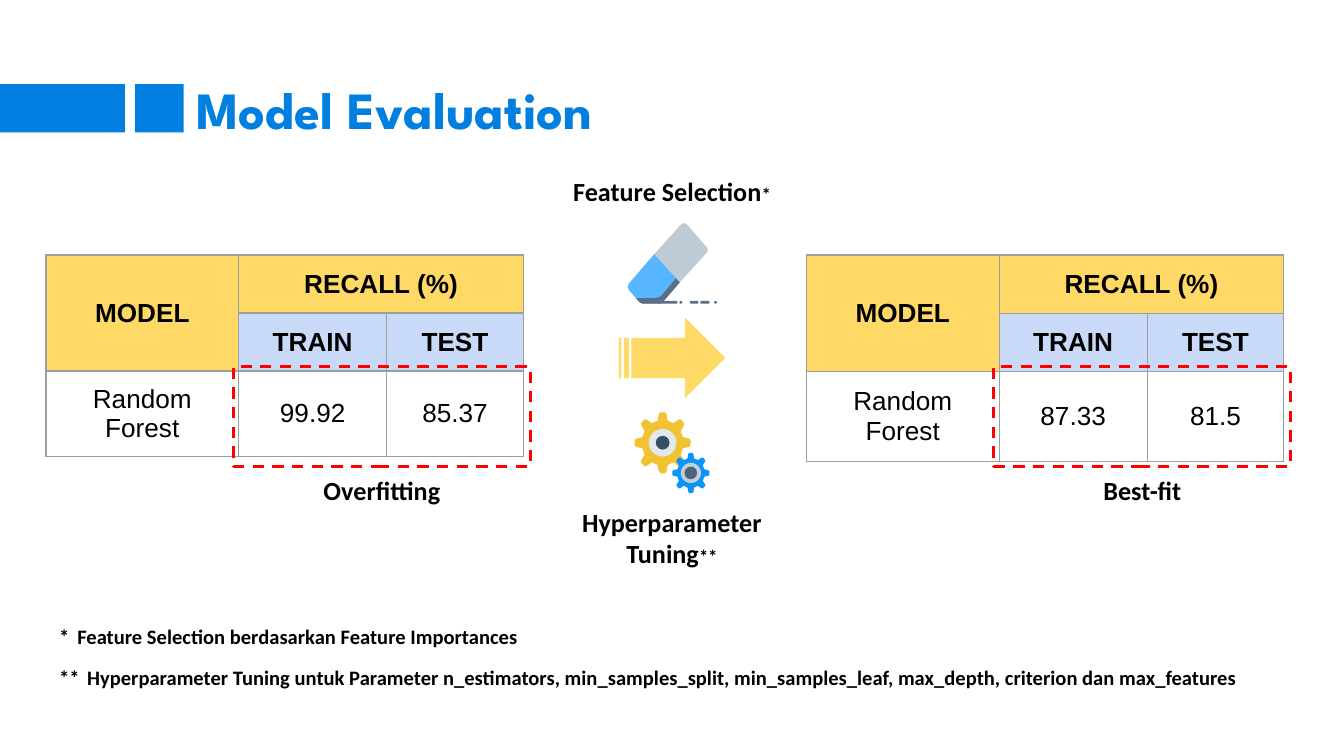
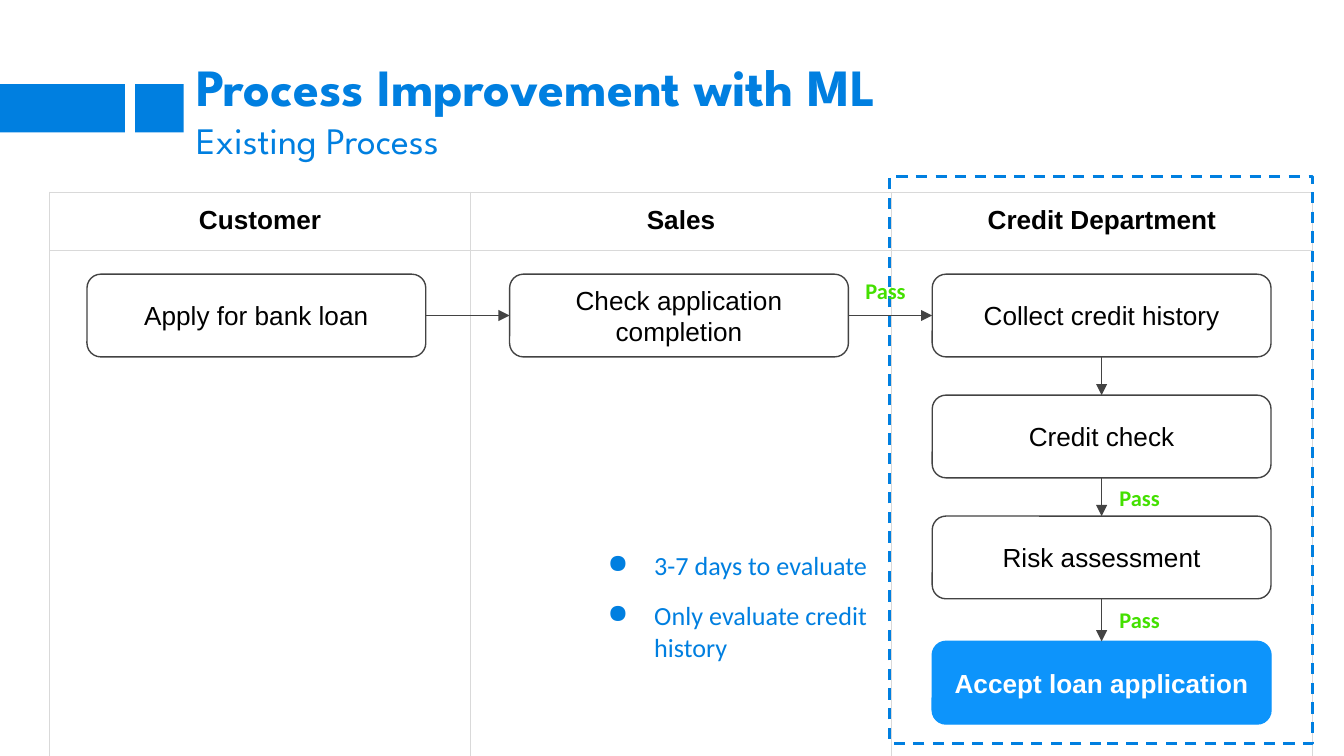
from dataclasses import dataclass
from math import cos, radians, sin

from lxml import etree
from pptx import Presentation
from pptx.dml.color import RGBColor
from pptx.enum.dml import MSO_LINE
from pptx.enum.shapes import MSO_CONNECTOR, MSO_SHAPE
from pptx.enum.text import MSO_ANCHOR, MSO_AUTO_SIZE, PP_ALIGN
from pptx.oxml.ns import qn
from pptx.util import Pt

LEFT, CENTER = PP_ALIGN.LEFT, PP_ALIGN.CENTER
TOP, MIDDLE = MSO_ANCHOR.TOP, MSO_ANCHOR.MIDDLE
RECTANGLE, ROUNDED, OVAL = MSO_SHAPE.RECTANGLE, MSO_SHAPE.ROUNDED_RECTANGLE, MSO_SHAPE.OVAL
STRIPED_ARROW = MSO_SHAPE.STRIPED_RIGHT_ARROW
SITE_TOP, SITE_LEFT, SITE_BOTTOM, SITE_RIGHT = range(4)


@dataclass(frozen=True)
class Theme:
    blue: str = "007FE0"
    bright_blue: str = "0D94FB"
    yellow: str = "FFD966"
    pale_blue: str = "C9DAF8"
    red: str = "FF0000"
    green: str = "44E000"
    black: str = "000000"
    white: str = "FFFFFF"
    dark_grey: str = "434343"
    score_border: str = "9E9E9E"
    lane_border: str = "D9D9D9"
    slate: str = "5A7085"
    title_font: str = "League Spartan"
    body_font: str = "Arial"
    note_font: str = "Calibri"
    title_size: float = 28
    subtitle_size: float = 20
    body_size: float = 14
    label_size: float = 12
    footnote_size: float = 11
    mark_size: float = 10
    inset: float = 7.2
    thin: float = 0.75
    thick: float = 1.5


THEME = Theme()
SLIDE_SIZE = (720, 405)
BANDS = [(0, 45, 67, 26), (72.4, 45, 26, 26)]
TITLE_BOX = (98, 41, 488, 34)

# Slide 1: recall before and after tuning
SCORE_COLUMNS, SCORE_ROWS = (103.3, 79.3, 73.2), (31.1, 31.1, 42.5)
SCORE_TOP = 136.6
SCORES = [
    {"left": 24.6, "train": "99.92", "test": "85.37", "verdict": "Overfitting"},
    {"left": 432, "train": "87.33", "test": "81.5", "verdict": "Best-fit"},
]
STEPS = [
    ((287, 87, 146, 32), "Feature Selection", "*"),
    ((295, 264, 130, 48), "Hyperparameter Tuning", "**"),
]
FOOTNOTES = [
    ((24.6, 327.6, 328, 28), 9.7, "*\tFeature Selection berdasarkan Feature Importances"),
    ((24.6, 349.9, 663, 41), 15,
     "**\tHyperparameter Tuning untuk Parameter n_estimators, min_samples_split, "
     "min_samples_leaf, max_depth, criterion dan max_features"),
]
ERASER_TIP = [(342.7, 162), (344.2, 162.7), (353.5, 162.7), (355, 162), (364.3, 151.2)]
ERASER = [
    ("57B6FF", [(350.6, 136.1), (337, 151.9), (336.3, 153.7), (337, 155.5)] + ERASER_TIP),
    (THEME.slate, [(362.2, 149), (355, 157.7), (353.5, 159.1), (350.6, 159.8),
                   (340.6, 159.8)] + ERASER_TIP),
    ("BECBD5", [(366.5, 119.5), (365, 120.2), (350.6, 136.1), (364.3, 151.2), (378.7, 135.4),
                (379.3, 134), (378.7, 132.5), (368, 120.2)]),
]
ERASER_DASHES = [(352.4, 10.6), (364, 1.5), (369.6, 4.6), (375.2, 5), (382.6, 1.5)]
# centre, radii of the teeth, colour, then the discs as (radius, colour)
GEARS = [
    ((355, 237.2), (15.1, 16.4), "F1C232", [(7.4, "E3E8EC"), (3.7, "364F67")]),
    ((370.1, 253.4), (10, 10.8), THEME.bright_blue, [(5.4, "C6CFD7"), (3.4, "4B637A")]),
]
GEAR_TEETH = 8
TOOTH_PROFILE = [(-14, 0.745), (-8.5, 0.94), (-5, 1), (5, 1), (8.5, 0.94), (14, 0.745)]

# Slide 2: swimlanes
LANES = ["Customer", "Sales", "Credit Department"]
LANE_LEFT, LANE_TOP, LANE_WIDTH, LANE_ROWS = 26.6, 103, 225.5, (31.1, 293)
BOX_SIZE, BOX_LEFT, BOX_STEP = (181.5, 44.3), 46.6, 226.4
TASKS = [  # lane, top, text
    (0, 146.9, "Apply for bank loan"),
    (1, 146.9, "Check application completion"),
    (2, 146.9, "Collect credit history"),
    (2, 211.7, "Credit check"),
    (2, 276.5, "Risk assessment"),
    (2, 343.6, "Accept loan application"),
]
PASS_LABELS = [(456.5, 141.1), (592.6, 252.3), (592.6, 317.5)]
DELAYS = ["3-7 days to evaluate", "Only evaluate credit history"]


def color(value):
    return RGBColor.from_string(value)


def points(values):
    return [Pt(value) for value in values]


def write_text(frame, paragraphs, *, size=THEME.body_size, font=THEME.body_font,
               ink=THEME.black, bold=False, align=LEFT, anchor=TOP):
    """Fill a frame; each paragraph is a list of (text, overrides) runs."""
    frame.word_wrap = True
    frame.vertical_anchor = anchor
    frame.margin_left = frame.margin_right = Pt(THEME.inset)
    frame.margin_top = frame.margin_bottom = Pt(THEME.inset)
    for index, runs in enumerate(paragraphs):
        paragraph = frame.add_paragraph() if index else frame.paragraphs[0]
        paragraph.alignment = align
        for text, overrides in runs:
            style = {"size": size, "bold": bold} | overrides
            run = paragraph.add_run()
            run.text = text
            run.font.name = font
            run.font.size = Pt(style["size"])
            run.font.bold = style["bold"]
            run.font.color.rgb = color(ink)
    return frame


def add_text(slide, box, paragraphs, grow=True, **style):
    frame = write_text(slide.shapes.add_textbox(*points(box)).text_frame, paragraphs, **style)
    frame.auto_size = MSO_AUTO_SIZE.SHAPE_TO_FIT_TEXT if grow else MSO_AUTO_SIZE.NONE
    return frame


def add_note(slide, box, *paragraphs, **style):
    return add_text(slide, box, paragraphs, **({"font": THEME.note_font, "bold": True} | style))


def hang(paragraph, left, indent, bullet=None, ink=THEME.blue):
    properties = paragraph._p.get_or_add_pPr()
    properties.set("marL", str(Pt(left)))
    properties.set("indent", str(-Pt(indent)))
    if bullet:
        bullet_color = etree.SubElement(properties, qn("a:buClr"))
        etree.SubElement(bullet_color, qn("a:srgbClr"), val=ink)
        etree.SubElement(properties, qn("a:buChar"), char=bullet)


def paint(shape, fill=None, line=None, width=THEME.thin, dash=None):
    shape.shadow.inherit = False
    if fill:
        shape.fill.solid()
        shape.fill.fore_color.rgb = color(fill)
    else:
        shape.fill.background()
    if line:
        shape.line.color.rgb = color(line)
        shape.line.width = Pt(width)
        shape.line.dash_style = dash
    else:
        shape.line.fill.background()
    return shape


def add_shape(slide, kind, box, **look):
    return paint(slide.shapes.add_shape(kind, *points(box)), **look)


def add_dashed_frame(slide, box, line):
    add_shape(slide, RECTANGLE, box, line=line, width=THEME.thick, dash=MSO_LINE.DASH)


def add_polygon(slide, corners, fill):
    start, *others = [tuple(points(corner)) for corner in corners]
    builder = slide.shapes.build_freeform(*start)
    builder.add_line_segments(others, close=True)
    paint(builder.convert_to_shape(), fill=fill)


def add_arrow(slide, source, source_site, target, target_site):
    arrow = slide.shapes.add_connector(MSO_CONNECTOR.STRAIGHT, 0, 0, 0, 0)
    arrow.begin_connect(source, source_site)
    arrow.end_connect(target, target_site)
    arrow.line.color.rgb = color(THEME.dark_grey)
    arrow.line.width = Pt(THEME.thin)
    etree.SubElement(arrow.line._get_or_add_ln(), qn("a:tailEnd"), type="triangle")
    etree.SubElement(arrow._element.spPr, qn("a:effectLst"))


def add_table(slide, left, top, columns, rows, border):
    """Add an unstyled, unfilled table with the same border round every cell."""
    table = slide.shapes.add_table(len(rows), len(columns), Pt(left), Pt(top),
                                   Pt(sum(columns)), Pt(sum(rows))).table
    table.first_row = table.horz_banding = False
    for column, width in zip(table.columns, columns):
        column.width = Pt(width)
    for row, height in zip(table.rows, rows):
        row.height = Pt(height)
    for cell in table.iter_cells():
        properties = cell._tc.get_or_add_tcPr()
        for side in ("lnL", "lnR", "lnT", "lnB"):
            line = etree.SubElement(properties, qn("a:" + side), w=str(Pt(THEME.thin)))
            solid = etree.SubElement(line, qn("a:solidFill"))
            etree.SubElement(solid, qn("a:srgbClr"), val=border)
        cell.fill.background()
    return table


def write_cell(cell, text, fill=None, anchor=MIDDLE, bold=True):
    if fill:
        cell.fill.solid()
        cell.fill.fore_color.rgb = color(fill)
    write_text(cell.text_frame, [[(text, {})]], bold=bold, align=CENTER)
    cell.vertical_anchor = anchor
    cell.margin_left = cell.margin_right = Pt(THEME.inset)
    cell.margin_top = cell.margin_bottom = Pt(THEME.inset)


def start_slide(presentation, title, subtitle=None):
    slide = presentation.slides.add_slide(presentation.slide_layouts[6])
    for band in BANDS:
        add_shape(slide, RECTANGLE, band, fill=THEME.blue)
    lines = [[(title, {"bold": True})]]
    if subtitle:
        lines.append([(subtitle, {"size": THEME.subtitle_size})])
    add_text(slide, TITLE_BOX, lines, grow=False, size=THEME.title_size,
             font=THEME.title_font, ink=THEME.blue, anchor=MIDDLE)
    return slide


def add_score_table(slide, score):
    left = score["left"]
    table = add_table(slide, left, SCORE_TOP, SCORE_COLUMNS, SCORE_ROWS, THEME.score_border)
    table.cell(0, 0).merge(table.cell(1, 0))
    table.cell(0, 1).merge(table.cell(0, 2))
    for column, text in enumerate(["MODEL", "RECALL (%)"]):
        write_cell(table.cell(0, column), text, THEME.yellow)
    for column, text in enumerate(["TRAIN", "TEST"], start=1):
        write_cell(table.cell(1, column), text, THEME.pale_blue)
    for column, text in enumerate(["Random Forest", score["train"], score["test"]]):
        write_cell(table.cell(2, column), text, bold=False)
    add_dashed_frame(slide, (left + 100.4, 196.5, 159.1, 53.3), THEME.red)
    add_note(slide, (left + 105, 247, 150, 32), [(score["verdict"], {})], align=CENTER)


def add_gear(slide, center, radii, fill, discs):
    corners = []
    for tooth in range(GEAR_TEETH):
        for offset, scale in TOOTH_PROFILE:
            angle = radians(tooth * 360 / GEAR_TEETH + offset)
            corners.append((center[0] + radii[0] * scale * cos(angle),
                            center[1] + radii[1] * scale * sin(angle)))
    add_polygon(slide, corners, fill)
    for radius, disc_fill in discs:
        add_shape(slide, OVAL, (center[0] - radius, center[1] - radius, 2 * radius, 2 * radius),
                  fill=disc_fill)


def build_evaluation(presentation):
    slide = start_slide(presentation, "Model Evaluation")
    for score in SCORES:
        add_score_table(slide, score)
    add_shape(slide, STRIPED_ARROW, (331.5, 170.2, 57, 43.2), fill=THEME.yellow)
    for fill, corners in ERASER:
        add_polygon(slide, corners, fill)
    for left, width in ERASER_DASHES:
        dash = add_shape(slide, ROUNDED, (left, 161.2, width, 1.5), fill=THEME.slate)
        dash.adjustments[0] = 0.5
    for gear in GEARS:
        add_gear(slide, *gear)
    for box, step, mark in STEPS:
        add_note(slide, box, [(step, {}), (mark, {"size": THEME.mark_size})], align=CENTER)
    for box, indent, text in FOOTNOTES:
        frame = add_note(slide, box, [(text, {})], size=THEME.footnote_size)
        hang(frame.paragraphs[0], indent, indent)


def build_process(presentation):
    slide = start_slide(presentation, "Process Improvement with ML", "Existing Process")
    table = add_table(slide, LANE_LEFT, LANE_TOP, [LANE_WIDTH] * len(LANES), LANE_ROWS,
                      THEME.lane_border)
    for column, lane in enumerate(LANES):
        write_cell(table.cell(0, column), lane, anchor=TOP)
    boxes = []
    for lane, top, text in TASKS:
        final = text == TASKS[-1][2]
        box = add_shape(slide, ROUNDED, (BOX_LEFT + lane * BOX_STEP, top, *BOX_SIZE),
                        fill=THEME.bright_blue if final else THEME.white,
                        line=THEME.bright_blue if final else THEME.dark_grey)
        write_text(box.text_frame, [[(text, {})]], bold=final, align=CENTER, anchor=MIDDLE,
                   ink=THEME.white if final else THEME.black)
        boxes.append(box)
    for index, (source, target) in enumerate(zip(boxes, boxes[1:])):
        same_lane = TASKS[index][0] == TASKS[index + 1][0]
        sites = (SITE_BOTTOM, SITE_TOP) if same_lane else (SITE_RIGHT, SITE_LEFT)
        add_arrow(slide, source, sites[0], target, sites[1])
    add_dashed_frame(slide, (476.6, 94.5, 226.6, 303.8), THEME.blue)
    frame = add_note(slide, (307.4, 287.3, 169.2, 92), *[[(text, {})] for text in DELAYS],
                     bold=False, ink=THEME.blue)
    for paragraph in frame.paragraphs:
        hang(paragraph, 36, 25, "●")
    frame.paragraphs[1].space_before = frame.paragraphs[1].space_after = Pt(10)
    for left, top in PASS_LABELS:
        add_note(slide, (left, top, 45.4, 28.8), [("Pass", {})], size=THEME.label_size,
                 ink=THEME.green)


def main():
    presentation = Presentation()
    presentation.slide_width, presentation.slide_height = points(SLIDE_SIZE)
    build_evaluation(presentation)
    build_process(presentation)
    presentation.save("out.pptx")


if __name__ == "__main__":
    main()
